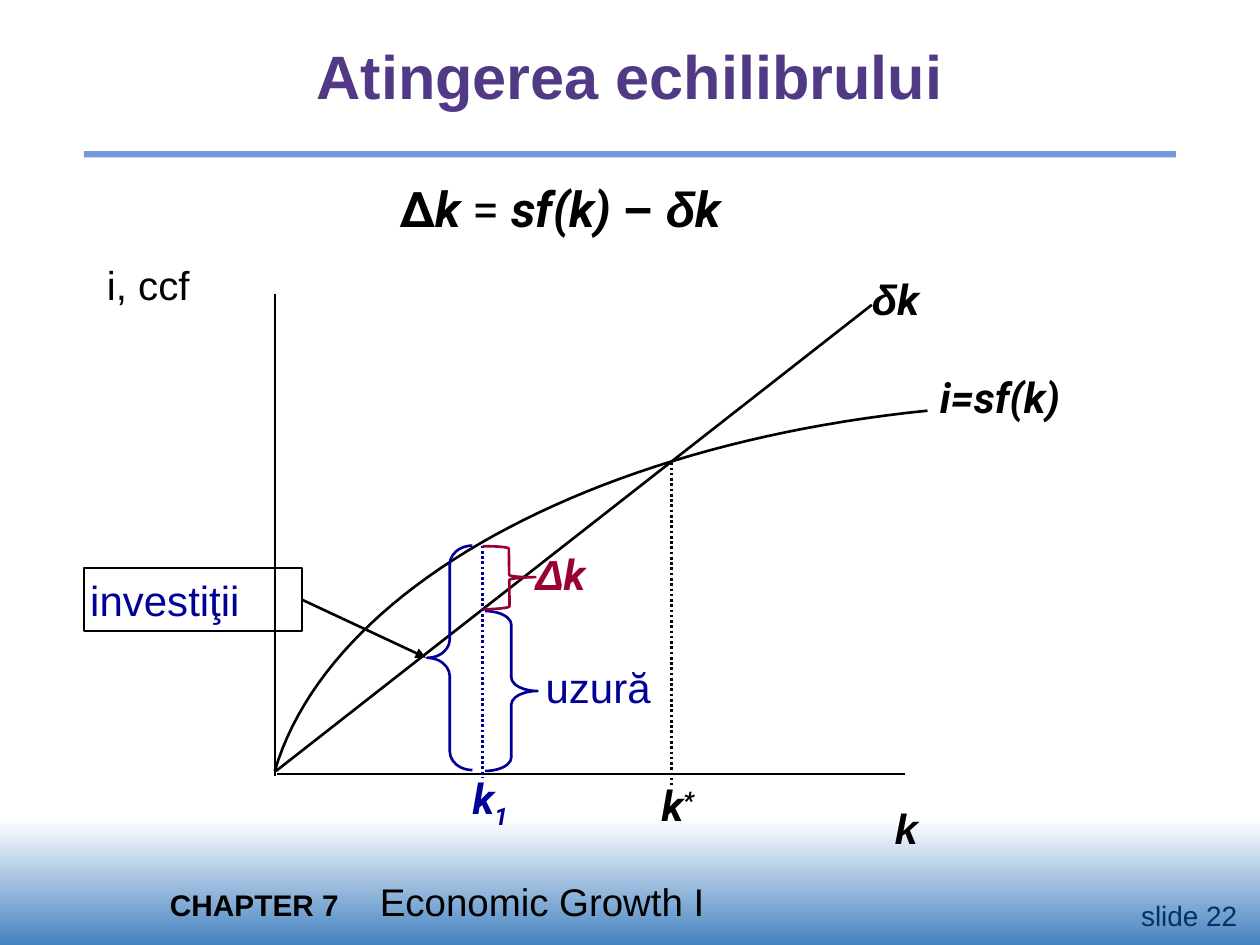
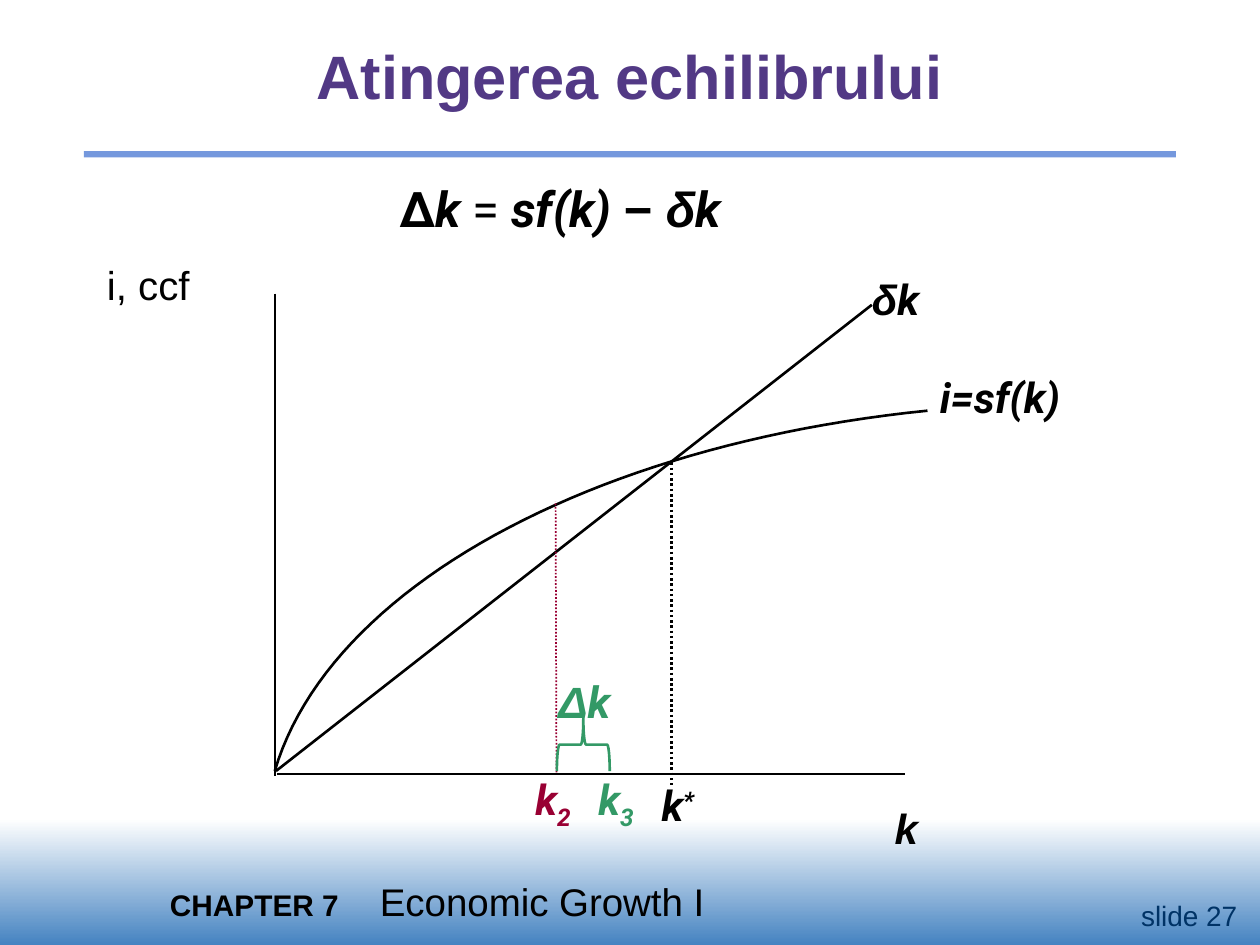
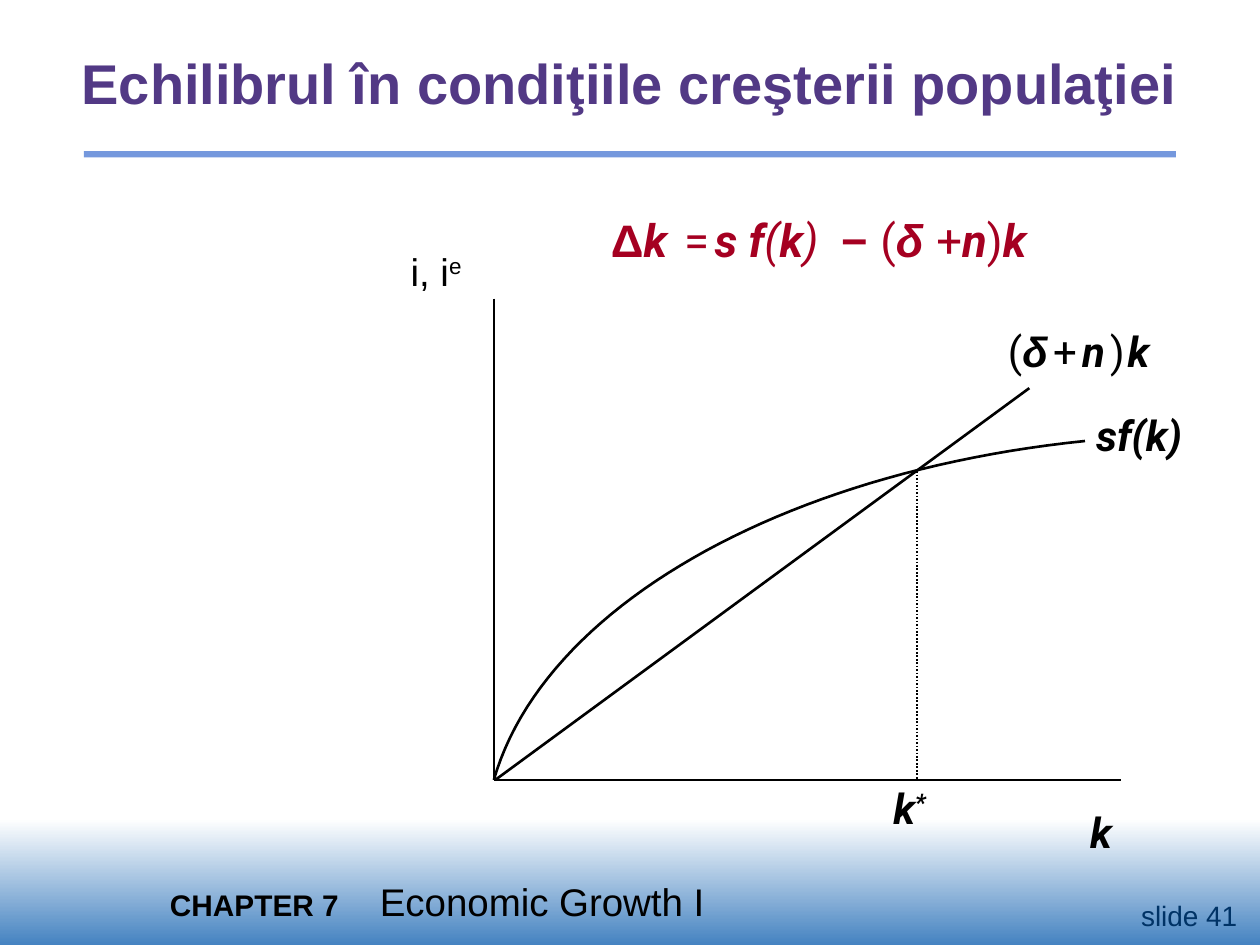
"""Builds three slides on reaching the steady state in the growth model."""
from dataclasses import dataclass

from lxml.etree import SubElement
from pptx import Presentation
from pptx.dml.color import RGBColor
from pptx.enum.dml import MSO_LINE
from pptx.enum.shapes import MSO_CONNECTOR, MSO_SHAPE
from pptx.enum.text import MSO_ANCHOR, MSO_AUTO_SIZE, PP_ALIGN
from pptx.oxml.ns import qn
from pptx.util import Pt


@dataclass(frozen=True)
class Theme:
    black: str = "000000"
    white: str = "FFFFFF"
    title: str = "523985"
    rule: str = "7598DD"
    band: str = "4583C1"
    number: str = "003366"
    blue: str = "000099"
    wine: str = "990033"
    green: str = "339966"
    red: str = "A50021"
    text_font: str = "Arial"
    math_font: str = "Roboto"
    label_size: float = 24
    formula_size: float = 28
    chapter_size: float = 17
    footer_size: float = 22
    number_size: float = 16


theme = Theme()


def write(shape, runs, size=theme.label_size, color=theme.black, font=theme.math_font,
          align=PP_ALIGN.LEFT, anchor=MSO_ANCHOR.MIDDLE, insets=(0, 0, 0, 0)):
    """Write runs of (text, style, size); style holds b, i, a (text font), ^ and _."""
    frame = shape.text_frame
    frame.word_wrap = True
    frame.auto_size = MSO_AUTO_SIZE.NONE
    frame.vertical_anchor = anchor
    frame.margin_left, frame.margin_top, frame.margin_right, frame.margin_bottom = map(Pt, insets)
    paragraph = frame.paragraphs[0]
    paragraph.alignment = align
    paragraph.font.name = font
    paragraph.font.size = Pt(size)
    paragraph.font.color.rgb = RGBColor.from_string(color)
    all_bold = all("b" in style for _, style, *_ in runs)
    all_italic = all("i" in style for _, style, *_ in runs)
    paragraph.font.bold = all_bold
    paragraph.font.italic = all_italic
    for text, style, *own_size in runs:
        run = paragraph.add_run()
        run.text = text
        if not all_bold:
            run.font.bold = "b" in style
        if not all_italic:
            run.font.italic = "i" in style
        if "a" in style:
            run.font.name = theme.text_font
        if own_size:
            run.font.size = Pt(own_size[0])
        for mark, baseline in (("^", "30000"), ("_", "-25000")):
            if mark in style:
                run.font._element.set("baseline", baseline)
    return paragraph


def draw_line(slide, start, end, width=1.5, color=theme.black, dotted=False):
    """Draw a straight line between two points."""
    connector = slide.shapes.add_connector(MSO_CONNECTOR.STRAIGHT, *map(Pt, (*start, *end)))
    connector.line.color.rgb = RGBColor.from_string(color)
    connector.line.width = Pt(width)
    if dotted:
        connector.line.dash_style = MSO_LINE.ROUND_DOT
    SubElement(connector.element.spPr, qn("a:effectLst"))
    return connector


presentation = Presentation()
presentation.slide_width, presentation.slide_height = Pt(720), Pt(540)
layout = presentation.slide_layouts[5]
wide_insets = (7.2, 3.6, 7.2, 3.6)

titles = [
    (22, "Atingerea echilibrului", 35, 18),
    (27, "Atingerea echilibrului", 35, 18),
    (41, "Echilibrul în condiţiile creşterii populaţiei", 32, 22.3),
]
slides = []
for number, title, size, top in titles:
    slide = presentation.slides.add_slide(layout)
    slides.append(slide)
    heading = slide.shapes.title
    heading.left, heading.top, heading.width, heading.height = map(Pt, (30, top, 660, 49.7))
    write(heading, [(title, "b")], size, theme.title, theme.text_font, PP_ALIGN.CENTER)
    number_box = slide.shapes.add_textbox(*map(Pt, (642.2, 509.8, 72, 26.6)))
    write(number_box, [(f"slide {number}", "")], theme.number_size, theme.number, theme.text_font,
          PP_ALIGN.RIGHT, MSO_ANCHOR.TOP, wide_insets)
first_slide, second_slide, third_slide = slides

band = first_slide.shapes.add_shape(MSO_SHAPE.RECTANGLE, *map(Pt, (0, 468, 720, 72)))
band.fill.gradient()
band.fill.gradient_angle = 270
for stop, color, position in zip(band.fill.gradient_stops, (theme.white, theme.band), (0, 1)):
    stop.color.rgb = RGBColor.from_string(color)
    stop.position = position
rule = first_slide.shapes.add_shape(MSO_SHAPE.RECTANGLE, *map(Pt, (48, 86.4, 624, 3.6)))
rule.fill.solid()
rule.fill.fore_color.rgb = RGBColor.from_string(theme.rule)
for shape in (band, rule):
    shape.line.fill.background()
    shape.shadow.inherit = False
footer = first_slide.shapes.add_textbox(*map(Pt, (90, 498.2, 600, 33.8)))
footer_paragraph = write(
    footer, [("CHAPTER 7", "b", theme.chapter_size), ("\tEconomic Growth I", "")],
    theme.footer_size, font=theme.text_font, anchor=MSO_ANCHOR.TOP, insets=wide_insets)
properties = footer_paragraph._p.get_or_add_pPr()
tabs = SubElement(properties, qn("a:tabLst"))
SubElement(tabs, qn("a:tab"), pos=str(Pt(120)), algn="l")
properties.insert(0, tabs)
for index, shape in enumerate((band, rule, footer)):
    shape.element.nvSpPr.cNvPr.id = 20 + index
    layout.shapes.element.insert(2 + index, shape.element)

investment_box = first_slide.shapes.add_shape(MSO_SHAPE.RECTANGLE, *map(Pt, (48, 324.7, 124.6, 36)))
investment_box.fill.solid()
investment_box.fill.fore_color.rgb = RGBColor.from_string(theme.white)
investment_box.line.color.rgb = RGBColor.from_string(theme.black)
investment_box.line.width = Pt(1)
investment_box.shadow.inherit = False
write(investment_box, [("investiţii", "")], color=theme.blue, font=theme.text_font,
      insets=(3.6, 3.6, 3.6, 3.6))

steady_diagram = {
    "axes": [((157, 167.8), (157, 443.5)), ((158.4, 442.1), (517, 442.1))],
    "curve": [(530, 234.7), (337, 254.2), (187.9, 336.2), (157, 440.6)],
    "ray": ((157.7, 440.6), (498.2, 174.2)),
    "steady": ((383.8, 264.2), (383.8, 448.6)),
    "steady_width": 1.5,
    "labels": [
        ((498.2, 156.2, 77.8, 28.8), [("δ", "bia"), ("k", "bi")]),
        ((378, 445.7, 41.8, 28.8), [("k", "bi"), ("*", "bi^")]),
        ((511.2, 458.6, 126, 28.8), [("k", "bia")]),
        ((537.1, 212.4, 98.6, 28.8), [("i=sf(k)", "bi")]),
    ],
    "axis_name": ((12.4, 149, 144.7, 27.4), [("i, ccf", "")], 23),
}
population_diagram = {
    "axes": [((282.2, 170.6), (282.2, 445.7)), ((282.2, 445.7), (640.8, 445.7))],
    "curve": [(620, 252), (445, 270), (310.3, 347.8), (282.2, 445.7)],
    "ray": ((283, 445.7), (588.2, 221.8)),
    "steady": ((524.2, 269.3), (524.2, 446.4)),
    "steady_width": 1,
    "labels": [
        ((576, 185.8, 108, 28.8),
         [("(", ""), ("δ", "bia"), (" ", "", 12), ("+", ""), (" ", "", 12), ("n", "bi"),
          (" ", "", 12), (")", ""), (" ", "", 6), ("k", "bi")]),
        ((510.5, 447.1, 41.8, 28.8), [("k", "bi"), ("*", "bi^")]),
        ((623, 460.8, 65, 28.8), [("k", "bi")]),
        ((626.4, 234, 74.9, 28.8), [("sf(k)", "bi")]),
    ],
    "axis_name": ((176.8, 140.4, 144.7, 28.8), [("i, i", ""), ("e", "^")], 22),
}
curve_steps = 48
for slide, diagram in zip(slides, (steady_diagram, steady_diagram, population_diagram)):
    points = []
    for step in range(curve_steps + 1):
        t = step / curve_steps
        weights = ((1 - t) ** 3, 3 * t * (1 - t) ** 2, 3 * t ** 2 * (1 - t), t ** 3)
        points.append(tuple(Pt(sum(weight * value for weight, value in zip(weights, values)))
                            for values in zip(*diagram["curve"])))
    builder = slide.shapes.build_freeform(*points[0])
    builder.add_line_segments(points[1:], close=False)
    curve = builder.convert_to_shape()
    curve.fill.background()
    curve.line.color.rgb = RGBColor.from_string(theme.black)
    curve.line.width = Pt(1.5)
    curve.shadow.inherit = False
    draw_line(slide, *diagram["ray"])
    draw_line(slide, *diagram["steady"], diagram["steady_width"], dotted=True)
    for axis in diagram["axes"]:
        draw_line(slide, *axis, 1)
    for box, runs in diagram["labels"]:
        write(slide.shapes.add_textbox(*map(Pt, box)), runs)
    box, runs, size = diagram["axis_name"]
    write(slide.shapes.add_textbox(*map(Pt, box)), runs, size, font=theme.text_font,
          align=PP_ALIGN.CENTER)

for slide in (first_slide, second_slide):
    formula = slide.shapes.add_textbox(*map(Pt, (228.2, 102.2, 210.2, 33.8)))
    write(formula, [("Δ", "b"), ("k", "bi"), (" = ", ""), ("sf(k) ", "bi"), ("− ", "ba"),
                    ("δ", "bia"), ("k", "bi")], theme.formula_size)
population_formula = third_slide.shapes.add_textbox(*map(Pt, (342, 117.4, 282.2, 38.9)))
write(population_formula,
      [("Δ", "ba"), ("k ", "bi"), (" ", "", 13), ("=", ""), (" ", "", 13), ("s f", "bi"),
       ("(", "i"), ("k", "bi"), (")  ", "i"), ("− ", "ba"), ("(", ""), ("δ ", "bia"),
       ("+", ""), ("n", "bi"), (")", ""), ("k", "bi")],
      26, theme.red, anchor=MSO_ANCHOR.TOP, insets=wide_insets)

draw_line(first_slide, (275.8, 311.8), (275.8, 444.2), color=theme.blue, dotted=True)
draw_line(second_slide, (318, 441.4), (317.5, 286.6), 1, theme.wine, dotted=True)
arrow = draw_line(first_slide, (172.8, 342.7), (243.4, 375.8))
arrow.begin_connect(investment_box, 3)
SubElement(arrow.element.spPr.find(qn("a:ln")), qn("a:tailEnd"), type="triangle")

braces = [
    (first_slide, MSO_SHAPE.RIGHT_BRACE, (277.2, 349.2, 30, 91.4), 0.26, 0, theme.blue),
    (first_slide, MSO_SHAPE.RIGHT_BRACE, (276, 312, 30, 36), 0.05, -0.7, theme.wine),
    (first_slide, MSO_SHAPE.LEFT_BRACE, (244.1, 311.8, 25.9, 128.2), 0.41, 0, theme.blue),
    (second_slide, MSO_SHAPE.LEFT_BRACE, (318.2, 410.4, 30.2, 30.2), 0.05, 90, theme.green),
]
for slide, kind, box, curl, rotation, color in braces:
    brace = slide.shapes.add_shape(kind, *map(Pt, box))
    brace.adjustments[0] = curl
    brace.rotation = rotation
    brace.fill.background()
    brace.line.color.rgb = RGBColor.from_string(color)
    brace.line.width = Pt(1.5)
    brace.shadow.inherit = False

delta_k = [("Δ", "bia"), ("k", "bi")]
annotations = [
    (first_slide, (311.8, 378, 131.8, 28.8), [("uzură", "a")], 24, theme.blue),
    (first_slide, (306, 313.2, 41.8, 28.8), delta_k, 24, theme.wine),
    (first_slide, (270, 434.2, 41.8, 47.5), [("k", "bi"), ("1", "bi_")], 24, theme.blue),
    (second_slide, (306, 442.1, 36, 33.1), [("k", "bi"), ("2", "bi_")], 24, theme.wine),
    (second_slide, (342, 442.1, 36, 33.1), [("k", "bi"), ("3", "bi_")], 24, theme.green),
    (second_slide, (319, 385.2, 35.3, 30.2), delta_k, 25, theme.green),
]
for slide, box, runs, size, color in annotations:
    write(slide.shapes.add_textbox(*map(Pt, box)), runs, size, color)

presentation.save("out.pptx")
